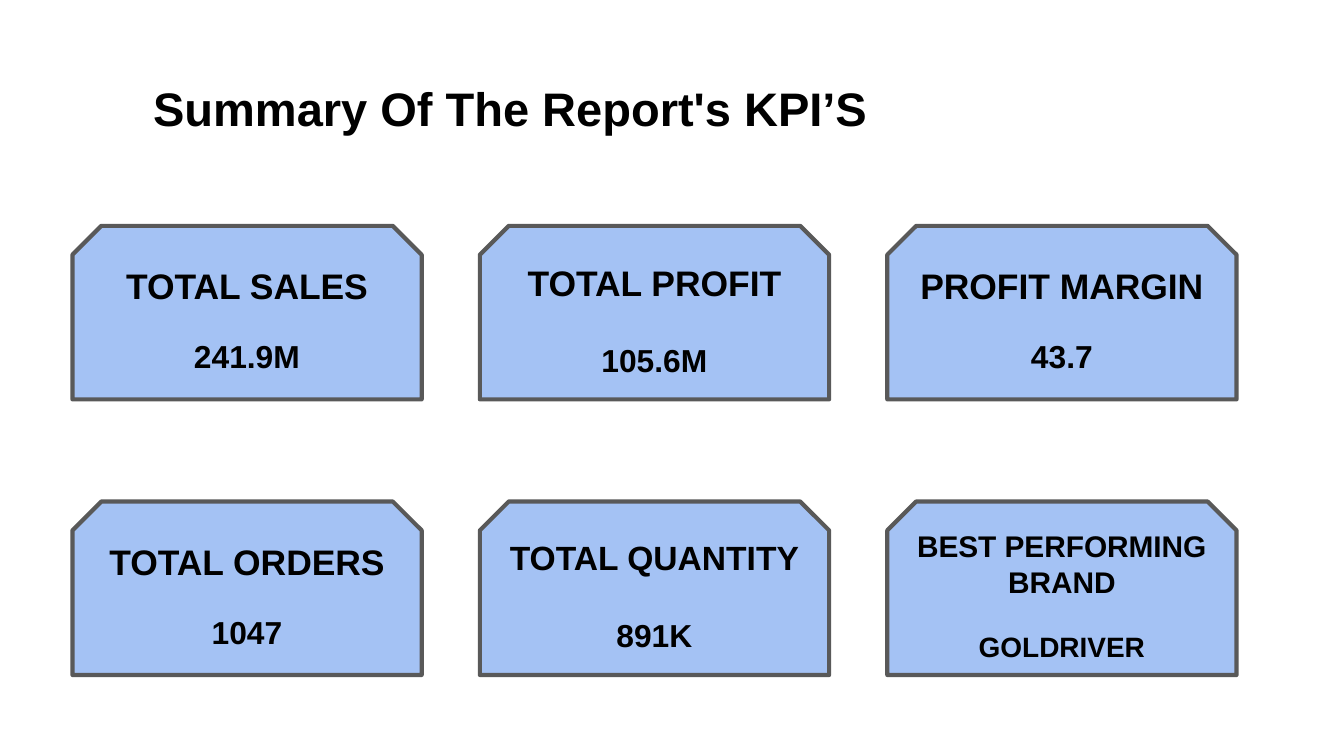
from dataclasses import dataclass

from pptx import Presentation
from pptx.dml.color import RGBColor
from pptx.enum import shapes, text
from pptx.slide import Slide
from pptx.text.text import TextFrame
from pptx.util import Cm, Pt

BLACK = RGBColor(0x00, 0x00, 0x00)
CARD_BLUE = RGBColor(0xA4, 0xC2, 0xF4)
BORDER_GREY = RGBColor(0x59, 0x59, 0x59)
FONT = "Arial"
LINE_HEIGHT = 1.15
INSET = Cm(0.25)

COLUMNS = 3
GRID_LEFT, GRID_TOP = Cm(1.37), Cm(4.27)
COLUMN_STEP, ROW_STEP = Cm(7.7), Cm(5.21)
CARD_WIDTH, CARD_HEIGHT = Cm(6.6), Cm(3.28)


@dataclass(frozen=True)
class Kpi:
    label: str
    value: str
    label_size: float = 19
    value_size: float = 17
    gap_size: float = 14


KPIS = [
    Kpi("TOTAL SALES", "241.9M"),
    Kpi("TOTAL PROFIT", "105.6M", gap_size=17),
    Kpi("PROFIT MARGIN", "43.7"),
    Kpi("TOTAL ORDERS", "1047"),
    Kpi("TOTAL QUANTITY", "891K", label_size=18, gap_size=18),
    Kpi("BEST PERFORMING BRAND", "GOLDRIVER", label_size=16, value_size=15),
]


def prepare_frame(frame: TextFrame, anchor: text.MSO_ANCHOR) -> None:
    frame.word_wrap = True
    frame.vertical_anchor = anchor
    frame.margin_left = frame.margin_right = INSET
    frame.margin_top = frame.margin_bottom = INSET


def write_line(paragraph, wording: str, size: float) -> None:
    paragraph.alignment = text.PP_ALIGN.CENTER
    run = paragraph.add_run()
    run.text = wording
    run.font.name = FONT
    run.font.size = Pt(size)
    run.font.bold = True
    run.font.color.rgb = BLACK


def draw_title(slide: Slide, wording: str) -> None:
    title = slide.shapes.add_textbox(Cm(2.43), Cm(1.25), Cm(14.43), Cm(1.6))
    prepare_frame(title.text_frame, text.MSO_ANCHOR.TOP)
    write_line(title.text_frame.paragraphs[0], wording, 25.2)


def draw_card(slide: Slide, kpi: Kpi, row: int, column: int) -> None:
    card = slide.shapes.add_shape(
        shapes.MSO_SHAPE.SNIP_2_SAME_RECTANGLE,
        GRID_LEFT + column * COLUMN_STEP,
        GRID_TOP + row * ROW_STEP,
        CARD_WIDTH,
        CARD_HEIGHT,
    )
    card.shadow.inherit = False
    card.fill.solid()
    card.fill.fore_color.rgb = CARD_BLUE
    card.line.color.rgb = BORDER_GREY
    card.line.width = Pt(2.25)

    frame = card.text_frame
    prepare_frame(frame, text.MSO_ANCHOR.MIDDLE)
    write_line(frame.paragraphs[0], kpi.label, kpi.label_size)
    value = frame.add_paragraph()
    value.space_before = Pt(kpi.gap_size * LINE_HEIGHT)
    write_line(value, kpi.value, kpi.value_size)


def main() -> None:
    deck = Presentation()
    deck.slide_width, deck.slide_height = Cm(25.4), Cm(14.29)
    slide = deck.slides.add_slide(deck.slide_layouts[6])
    draw_title(slide, "Summary Of The Report's KPI’S")
    for index, kpi in enumerate(KPIS):
        draw_card(slide, kpi, *divmod(index, COLUMNS))
    deck.save("out.pptx")


if __name__ == "__main__":
    main()
